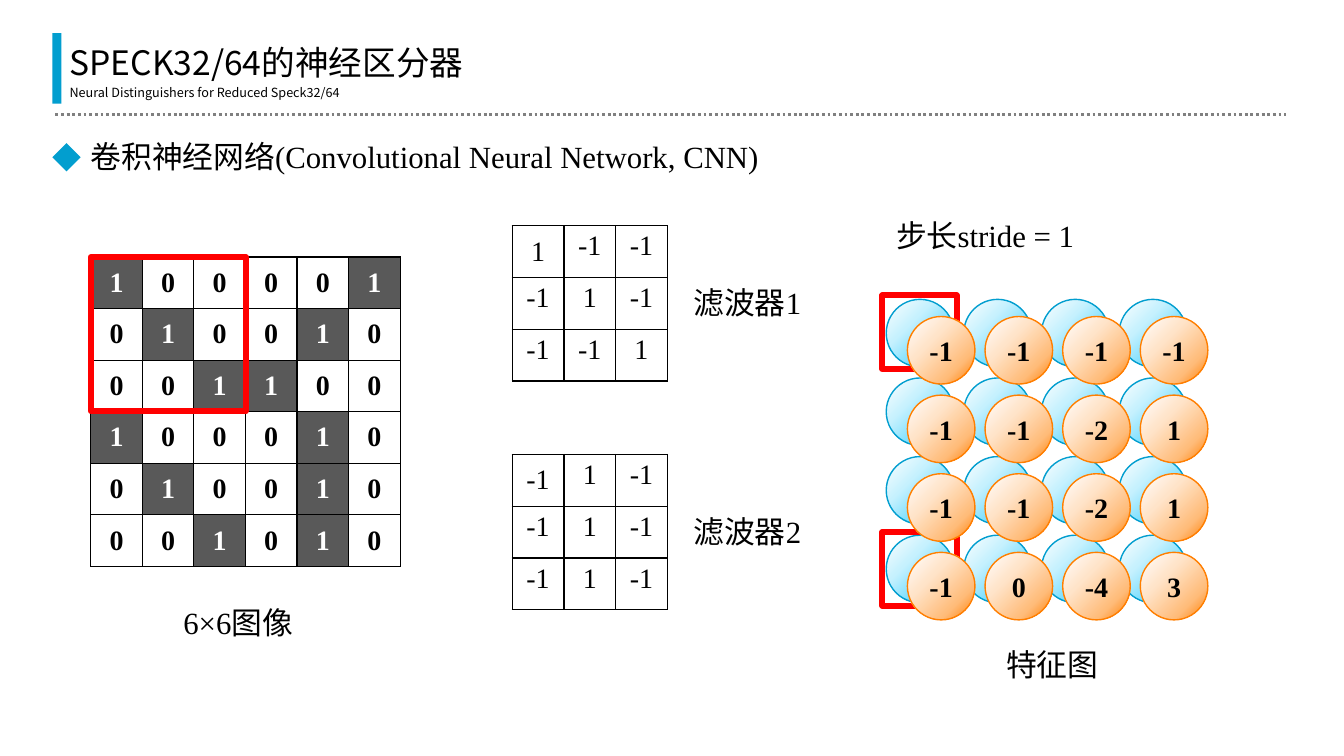
from lxml.etree import SubElement
from pptx import Presentation
from pptx.dml.color import RGBColor
from pptx.enum.dml import MSO_LINE
from pptx.enum.shapes import MSO_CONNECTOR, MSO_SHAPE
from pptx.enum.text import MSO_ANCHOR, PP_ALIGN
from pptx.oxml.ns import qn
from pptx.util import Inches, Pt

COLORS = {
    "black": "000000", "white": "FFFFFF", "dark": "595959", "gray": "808080",
    "blue": "029ECF", "blue_mid": "5ED8FE", "blue_pale": "C6F1FE",
    "orange": "FF7F00", "orange_mid": "FFBC79", "orange_pale": "FFE4C9",
    "red": "FF0000",
}
BLUE_STOPS = {0: "white", 36: "blue_pale", 75: "blue_mid", 100: "blue"}
ORANGE_STOPS = {0: "white", 36: "orange_pale", 75: "orange_mid", 100: "orange"}
SERIF, SANS = "Times New Roman", "Noto Sans CJK SC"

IMAGE = ["100001", "010010", "001100", "100010", "010010", "001010"]
DIAGONAL_FILTER = [[1, -1, -1], [-1, 1, -1], [-1, -1, 1]]
VERTICAL_FILTER = [[-1, 1, -1]] * 3
ORANGE_MAP = [[-1, -1, -1, -1], [-1, -1, -2, 1], [-1, -1, -2, 1], [-1, 0, -4, 3]]
MAP_SIZE = len(ORANGE_MAP)


def rgb(name):
    return RGBColor.from_string(COLORS[name])


def write(frame, text, size, font=SERIF, color="black", bold=False, align=PP_ALIGN.LEFT):
    para = frame.paragraphs[0]
    para.alignment = align
    span = para.add_run()
    span.text = text
    span.font.size, span.font.name, span.font.bold = Pt(size), font, bold
    span.font.color.rgb = rgb(color)
    SubElement(span.font._element, qn("a:ea"), typeface=SANS)


def add_label(slide, box, text, size=22, font=SERIF, inset=None, anchor=MSO_ANCHOR.TOP):
    frame = slide.shapes.add_textbox(*map(Inches, box)).text_frame
    frame.word_wrap = True
    frame.vertical_anchor = anchor
    if inset is not None:
        set_insets(frame, inset)
    write(frame, text, size, font)


def set_insets(frame, inset):
    frame.margin_left = frame.margin_right = Inches(inset)
    frame.margin_top = frame.margin_bottom = Inches(inset)


def add_solid(slide, kind, box, color):
    shape = slide.shapes.add_shape(kind, *map(Inches, box))
    shape.shadow.inherit = False
    shape.fill.solid()
    shape.fill.fore_color.rgb = rgb(color)
    shape.line.fill.background()


def add_red_frame(slide, box):
    shape = slide.shapes.add_shape(MSO_SHAPE.RECTANGLE, *map(Inches, box))
    shape.shadow.inherit = False
    shape.fill.background()
    shape.line.color.rgb = rgb("red")
    shape.line.width = Pt(4)


def add_header(slide, left, top):
    add_solid(slide, MSO_SHAPE.RECTANGLE, (left, top, 0.09, 0.7), "blue")
    add_label(slide, (left + 0.15, top + 0.06, 6.82, 0.46), "SPECK32/64的神经区分器",
              24, SANS, 0.02, MSO_ANCHOR.MIDDLE)
    add_label(slide, (left + 0.17, top + 0.51, 4.25, 0.15),
              "Neural Distinguishers for Reduced Speck32/64", 9, SANS, 0)
    y = Inches(top + 0.81)
    rule = slide.shapes.add_connector(
        MSO_CONNECTOR.STRAIGHT, Inches(left + 0.03), y, Inches(left + 12.23), y)
    rule.line.color.rgb = rgb("gray")
    rule.line.width = Pt(2)
    rule.line.dash_style = MSO_LINE.ROUND_DOT
    SubElement(rule._element.spPr, qn("a:effectLst"))


def add_topic(slide, left, top):
    add_solid(slide, MSO_SHAPE.DIAMOND, (left, top + 0.1, 0.28, 0.28), "blue")
    add_label(slide, (left + 0.28, top, 6.99, 0.47),
              "卷积神经网络(Convolutional Neural Network, CNN)")


def add_borders(cell):
    properties = cell._tc.get_or_add_tcPr()
    for side in ("lnL", "lnR", "lnT", "lnB"):
        line = SubElement(properties, qn(f"a:{side}"), w=str(Pt(1)))
        fill = SubElement(line, qn("a:solidFill"))
        SubElement(fill, qn("a:srgbClr"), val=COLORS["black"])


def add_matrix(slide, left, top, side, values, is_image=False):
    """Square number grid; an image grid is bold with its ones on dark cells."""
    count = len(values)
    table = slide.shapes.add_table(
        count, count, Inches(left), Inches(top), Inches(side), Inches(side)).table
    table.first_row = table.horz_banding = False
    for index in range(count):
        table.columns[index].width = table.rows[index].height = Inches(side / count)
    for row, line in enumerate(values):
        for column, value in enumerate(line):
            cell = table.cell(row, column)
            add_borders(cell)
            dark = is_image and value == "1"
            if dark:
                cell.fill.solid()
                cell.fill.fore_color.rgb = rgb("dark")
            else:
                cell.fill.background()
            centred = is_image or row == column == 0
            cell.vertical_anchor = MSO_ANCHOR.MIDDLE if centred else MSO_ANCHOR.TOP
            write(cell.text_frame, str(value), 20, color="white" if dark else "black",
                  bold=is_image, align=PP_ALIGN.CENTER)


def fill_gradient(shape, stops):
    shape.fill.gradient()
    gradient = shape._element.spPr.find(qn("a:gradFill"))
    stop_list = gradient.find(qn("a:gsLst"))
    for stop in list(stop_list):
        stop_list.remove(stop)
    for position, color in stops.items():
        stop = SubElement(stop_list, qn("a:gs"), pos=str(position * 1000))
        SubElement(stop, qn("a:srgbClr"), val=COLORS[color])
    shape.fill.gradient_angle = 315


def add_feature_map(slide, left, top, stops, values=None):
    """Square grid of circles, numbered when values are given."""
    for row in range(MAP_SIZE):
        for column in range(MAP_SIZE):
            box = (left + 0.77 * column, top + 0.78 * row, 0.67, 0.67)
            circle = slide.shapes.add_shape(MSO_SHAPE.OVAL, *map(Inches, box))
            circle.shadow.inherit = False
            fill_gradient(circle, stops)
            circle.line.color.rgb = rgb(stops[100])
            circle.line.width = Pt(1)
            if values:
                frame = circle.text_frame
                frame.word_wrap = False
                frame.vertical_anchor = MSO_ANCHOR.MIDDLE
                set_insets(frame, 0)
                write(frame, str(values[row][column]), 20, bold=True,
                      align=PP_ALIGN.CENTER)


def add_image_panel(slide, left, top):
    add_matrix(slide, left, top, 3.07, IMAGE, is_image=True)
    add_red_frame(slide, (left, top, 1.54, 1.53))
    add_label(slide, (left + 0.82, top + 3.39, 1.44, 0.47), "6×6图像")


def add_filter(slide, left, top, values, name):
    add_matrix(slide, left, top, 1.54, values)
    add_label(slide, (left + 1.7, top + 0.53, 1.28, 0.47), name)


def add_feature_panel(slide, left, top):
    add_label(slide, (left, top, 1.99, 0.47), "步长stride = 1")
    add_feature_map(slide, left, top + 0.87, BLUE_STOPS)
    for offset in (0.83, 3.18):
        add_red_frame(slide, (left - 0.04, top + offset, 0.74, 0.73))
    add_feature_map(slide, left + 0.21, top + 1.04, ORANGE_STOPS, ORANGE_MAP)
    add_label(slide, (left + 1.09, top + 4.26, 1.13, 0.47), "特征图")


def main():
    deck = Presentation()
    deck.slide_width, deck.slide_height = Inches(13.33), Inches(7.5)
    slide = deck.slides.add_slide(deck.slide_layouts[6])
    add_header(slide, 0.52, 0.33)
    add_topic(slide, 0.52, 1.32)
    add_image_panel(slide, 0.9, 2.55)
    add_filter(slide, 5.08, 2.24, DIAGONAL_FILTER, "滤波器1")
    add_filter(slide, 5.08, 4.51, VERTICAL_FILTER, "滤波器2")
    add_feature_panel(slide, 8.79, 2.1)
    deck.save("out.pptx")


if __name__ == "__main__":
    main()
